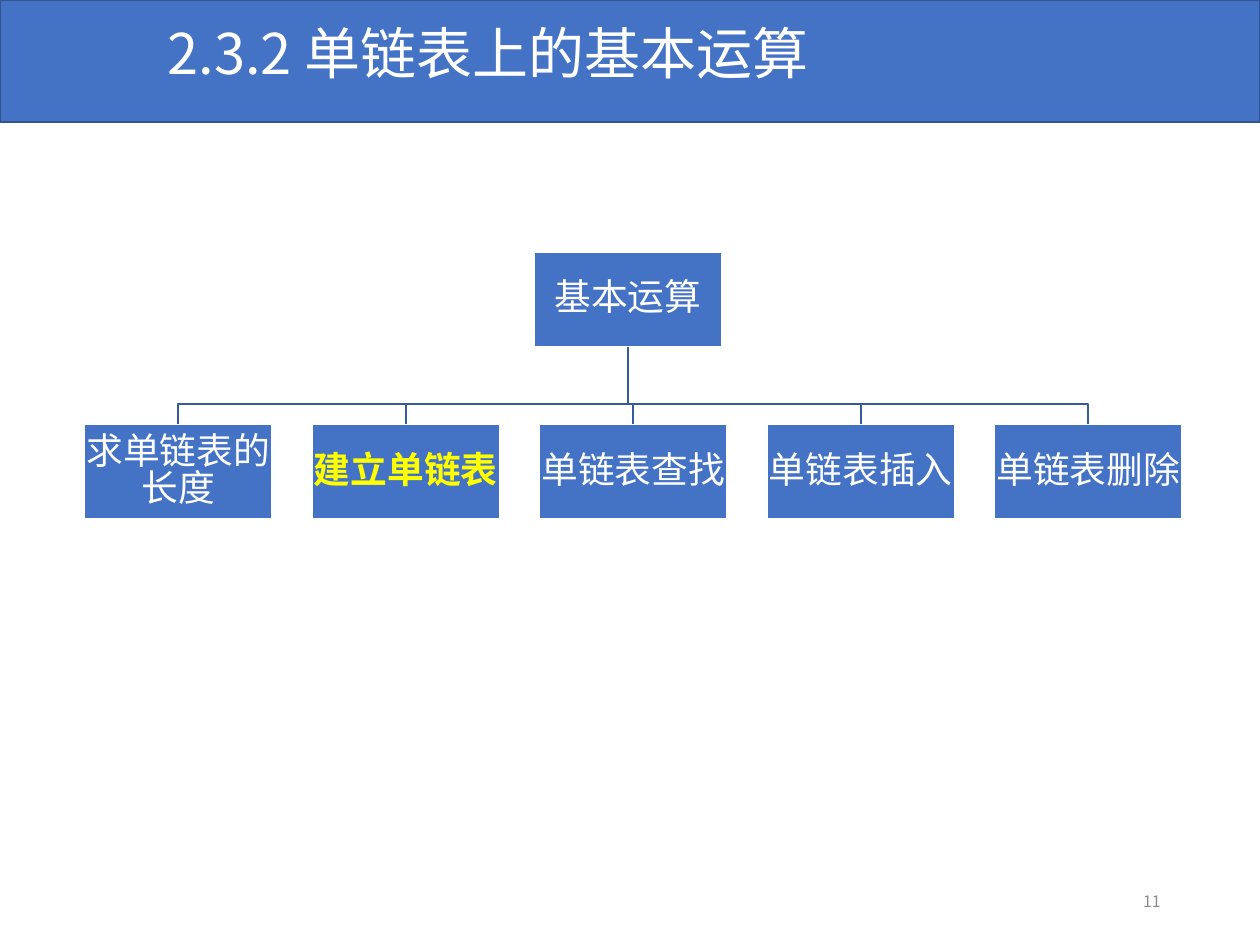
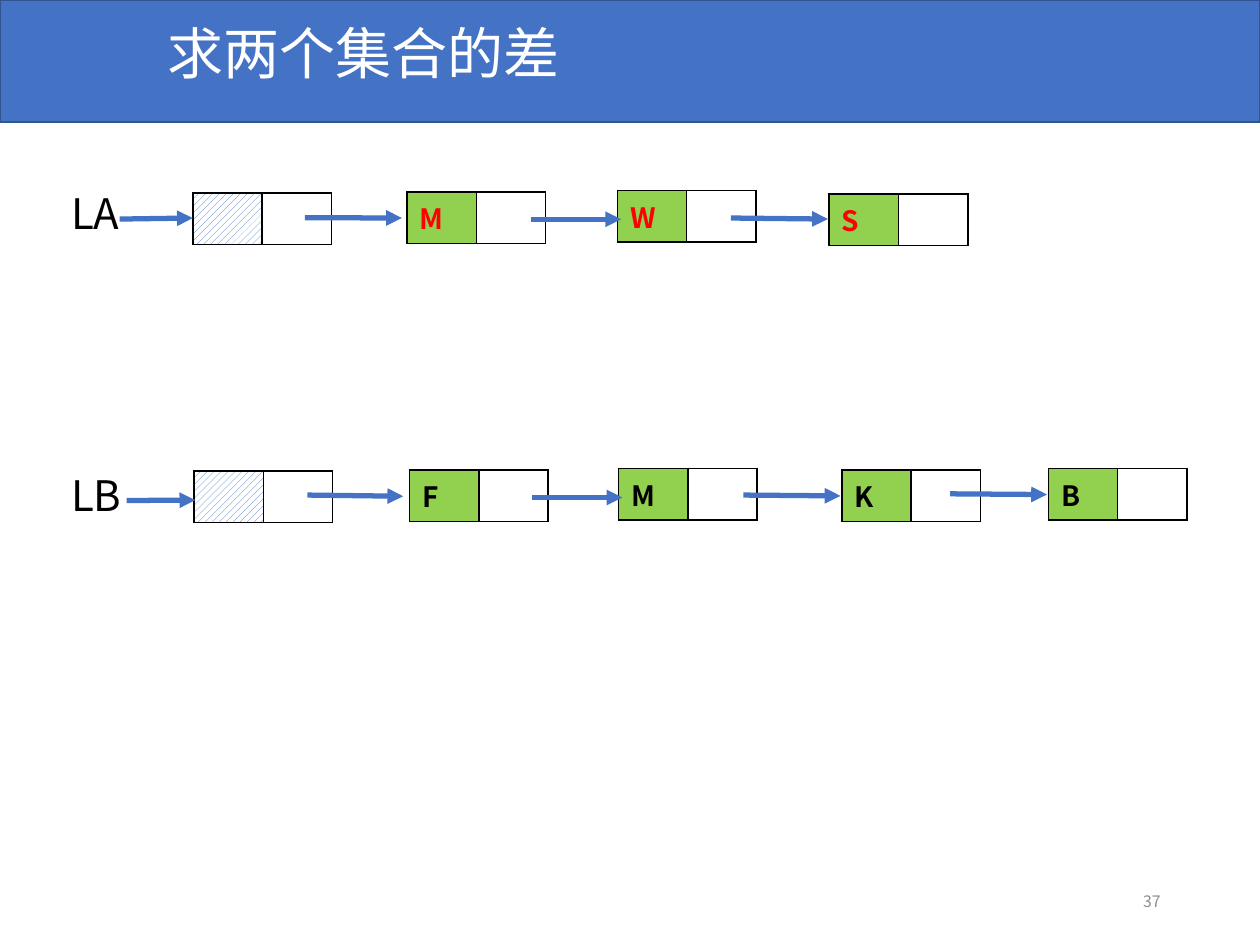
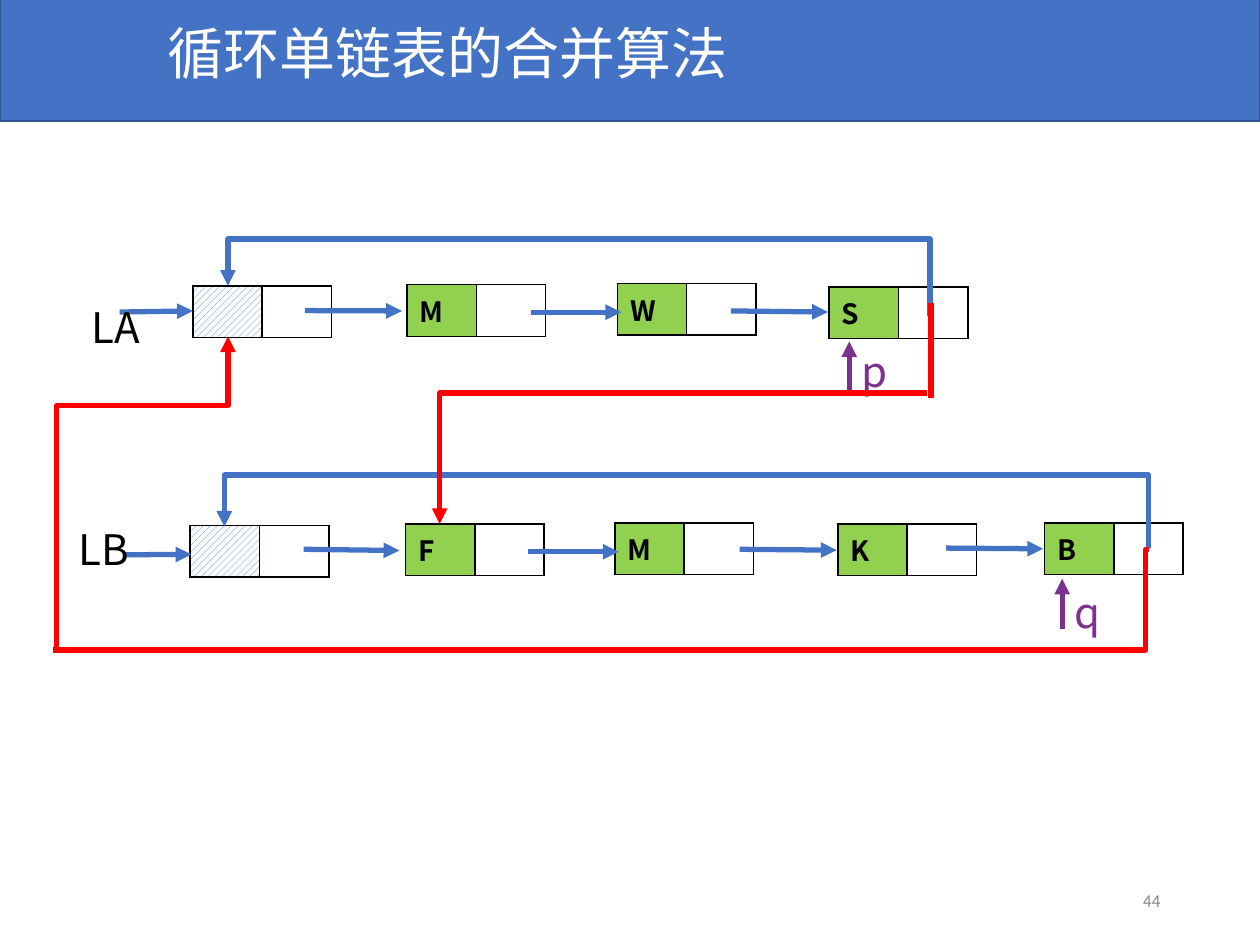
from dataclasses import dataclass

from lxml.etree import SubElement
from pptx import Presentation
from pptx.dml.color import RGBColor
from pptx.enum.dml import MSO_PATTERN
from pptx.enum.shapes import MSO_CONNECTOR, MSO_SHAPE
from pptx.enum.text import MSO_ANCHOR, MSO_AUTO_SIZE, PP_ALIGN
from pptx.oxml.ns import qn
from pptx.util import Pt

FONT = "Noto Sans CJK SC"
COLORS = {
    "blue": "4472C4", "band_edge": "325491", "tree_line": "365B9D",
    "white": "FFFFFF", "black": "000000", "yellow": "FFFF00",
    "red": "FF0000", "green": "92D050", "purple": "7B318F", "grey": "8C8C8C",
}
CELL_W, CELL_H = 39.6, 29.5


@dataclass
class Node:
    """A list node and the arrow leading to it, relative to the head node."""
    letter: str
    left: float
    top: float
    arrow_from: tuple
    arrow_to: tuple


LIST_A = [
    Node("M", 122.4, -0.6, (64, 14.2), (119.5, 14.4)),
    Node("W", 242.6, -1.3, (193, 15.1), (244.8, 15.1)),
    Node("S", 363.6, 0.6, (307.4, 14.4), (362.9, 15)),
]
LIST_B = [
    Node("F", 123.1, -0.7, (64.8, 13.7), (119.5, 14.4)),
    Node("M", 242.6, -1.4, (193, 15.1), (244.8, 15.1)),
    Node("K", 370.1, -0.7, (313.9, 13.7), (369.4, 14.2)),
    Node("B", 488.2, -1.4, (432, 13), (487.4, 13.4)),
]
ENTRY_A = ((-41.8, 15), (0, 14.4))
ENTRY_B = ((-38.5, 16.8), (0.7, 16.6))


def rgb(name):
    return RGBColor.from_string(COLORS[name])


def write(frame, text, size, color, bold=False, align=PP_ALIGN.LEFT, spacing=None):
    frame.text = text
    paragraph = frame.paragraphs[0]
    paragraph.alignment = align
    if spacing:
        paragraph.line_spacing = spacing
    for run in paragraph.runs:
        run.font.name = FONT
        run.font.size = Pt(size)
        run.font.bold = bold
        run.font.color.rgb = rgb(color)
        SubElement(run._r.get_or_add_rPr(), qn("a:ea"), typeface=FONT)


def add_block(slide, left, top, width, height, edge):
    block = slide.shapes.add_shape(
        MSO_SHAPE.RECTANGLE, Pt(left), Pt(top), Pt(width), Pt(height))
    block.shadow.inherit = False
    block.fill.solid()
    block.fill.fore_color.rgb = rgb("blue")
    block.line.color.rgb = rgb(edge)
    block.line.width = Pt(1)
    return block


def add_label(slide, text, left, top, width, color="black", inset=7.2):
    label = slide.shapes.add_textbox(Pt(left), Pt(top), Pt(width), Pt(36))
    frame = label.text_frame
    frame.word_wrap = True
    frame.auto_size = MSO_AUTO_SIZE.SHAPE_TO_FIT_TEXT
    frame.margin_left = Pt(inset)
    write(frame, text, 24, color, spacing=0.9)


# Frame shared by the slides: band, title, page number
def add_framed_slide(deck, title, page, band_top=0):
    slide = deck.slides.add_slide(deck.slide_layouts[5])
    band = add_block(slide, 0, band_top, 720, 69.8, "band_edge")
    slide.shapes._spTree.insert(2, band._element)

    heading = slide.shapes.title
    heading.left, heading.top = Pt(88.6), Pt(11.5)
    heading.width, heading.height = Pt(489.6), Pt(46)
    frame = heading.text_frame
    frame.word_wrap = True
    frame.vertical_anchor = MSO_ANCHOR.TOP
    frame.auto_size = MSO_AUTO_SIZE.SHAPE_TO_FIT_TEXT
    write(frame, title, 32, "white", spacing=0.9)

    number = slide.shapes.add_textbox(Pt(508.3), Pt(500.4), Pt(162), Pt(28.8))
    number.text_frame.word_wrap = True
    number.text_frame.vertical_anchor = MSO_ANCHOR.MIDDLE
    write(number.text_frame, str(page), 9, "grey", align=PP_ALIGN.RIGHT)
    return slide


# Lines and arrows
def style_connector(connector, color, arrow):
    connector.line.color.rgb = rgb(color)
    connector.line.width = Pt(3)
    properties = connector._element.spPr
    if arrow:
        SubElement(properties.find(qn("a:ln")), qn("a:tailEnd"), type="triangle")
    SubElement(properties, qn("a:effectLst"))


def add_line(slide, start, end, color="blue", arrow=True):
    line = slide.shapes.add_connector(
        MSO_CONNECTOR.STRAIGHT, *map(Pt, (*start, *end)))
    style_connector(line, color, arrow)


def add_elbow(slide, start, end, color, preset, adjustments=(), arrow=True):
    elbow = slide.shapes.add_connector(
        MSO_CONNECTOR.ELBOW, *map(Pt, (*start, *end)))
    style_connector(elbow, color, arrow)
    geometry = elbow._element.spPr.find(qn("a:prstGeom"))
    geometry.set("prst", preset)
    guides = geometry.find(qn("a:avLst"))
    for index, share in enumerate(adjustments, 1):
        SubElement(guides, qn("a:gd"), name=f"adj{index}",
                   fmla=f"val {round(share * 100000)}")
    return elbow


def add_rising_elbow(slide, start, end, color, turn):
    """Leave start upwards, cross to the right at the turn, then rise to end."""
    center_x, center_y = (start[0] + end[0]) / 2, (start[1] + end[1]) / 2
    half_rise, half_run = (start[1] - end[1]) / 2, (end[0] - start[0]) / 2
    elbow = add_elbow(slide, (center_x - half_rise, center_y - half_run),
                      (center_x + half_rise, center_y + half_run),
                      color, "bentConnector3", [turn])
    elbow._element.spPr.find(qn("a:xfrm")).set("rot", str(270 * 60000))


# Tree of operations
def draw_operation_tree(slide, left, top):
    box_w, box_h, step, level = 107.3, 54, 130, 98.6
    root_left = left + 257
    root_x, root_bottom = root_left + box_w / 2, top + box_h
    child_top = top + level
    operations = ["求单链表的长度", "建立单链表", "单链表查找", "单链表插入", "单链表删除"]
    child_lefts = [left + index * step for index in range(len(operations))]

    for child_left in child_lefts:
        child_x, bus_y = child_left + box_w / 2, child_top - 11.7
        branch = slide.shapes.build_freeform(Pt(root_x), Pt(root_bottom))
        branch.add_line_segments(
            [(Pt(x), Pt(y)) for x, y in
             ((root_x, bus_y), (child_x, bus_y), (child_x, child_top))],
            close=False)
        outline = branch.convert_to_shape()
        outline.shadow.inherit = False
        outline.fill.background()
        outline.line.color.rgb = rgb("tree_line")
        outline.line.width = Pt(1)

    boxes = [("基本运算", root_left, top)]
    boxes += [(name, x, child_top) for name, x in zip(operations, child_lefts)]
    for name, box_left, box_top in boxes:
        box = add_block(slide, box_left, box_top, box_w, box_h, "white")
        frame = box.text_frame
        frame.word_wrap = True
        frame.vertical_anchor = MSO_ANCHOR.MIDDLE
        frame.margin_left = frame.margin_right = Pt(0.7)
        frame.margin_top = frame.margin_bottom = Pt(0.7)
        current = name == "建立单链表"
        write(frame, name, 21, "yellow" if current else "white", current,
              PP_ALIGN.CENTER, 0.85)


# Linked lists
def add_cell(slide, left, top, letter="", color="black", head=False):
    table = slide.shapes.add_table(
        1, 1, Pt(left), Pt(top), Pt(CELL_W), Pt(CELL_H)).table
    table.first_row = table.horz_banding = False
    cell = table.cell(0, 0)
    cell.margin_top, cell.margin_bottom = Pt(3), Pt(0)
    properties = cell._tc.get_or_add_tcPr()
    for side in ("lnL", "lnR", "lnT", "lnB"):
        border = SubElement(properties, qn(f"a:{side}"), w=str(Pt(1)))
        SubElement(SubElement(border, qn("a:solidFill")), qn("a:srgbClr"),
                   val=COLORS["black"])
    if head:
        cell.fill.patterned()
        cell.fill.pattern = MSO_PATTERN.WIDE_UPWARD_DIAGONAL
        cell.fill.fore_color.rgb = rgb("blue")
        cell.fill.back_color.rgb = rgb("white")
    else:
        cell.fill.solid()
        cell.fill.fore_color.rgb = rgb("green" if letter else "white")
    if letter:
        write(cell.text_frame, letter, 16, color, bold=True)


def draw_list(slide, left, top, name, name_at, nodes, entry, color="black"):
    def place(point):
        return left + point[0], top + point[1]

    add_cell(slide, left, top, head=True)
    add_cell(slide, left + CELL_W, top)
    for node in nodes:
        x, y = place((node.left, node.top))
        add_cell(slide, x, y, node.letter, color)
        add_cell(slide, x + CELL_W, y)
    arrows = [entry] + [(node.arrow_from, node.arrow_to) for node in nodes]
    for start, end in arrows:
        add_line(slide, place(start), place(end))
    add_label(slide, name, *name_at, 53.3, inset=12.6)


def draw_pointer(slide, name, x, tip, label_top):
    add_label(slide, name, x, label_top, 28, "purple")
    add_line(slide, (x, tip + 29), (x, tip), "purple")


def draw_merge_links(slide):
    # Links that close each list
    add_elbow(slide, (656.6, 313.6), (128.2, 301), "blue",
              "bentConnector4", [0.001, 3.34])
    add_elbow(slide, (533.5, 180), (130.3, 163.4), "blue",
              "bentConnector4", [0.005, 2.61])
    draw_pointer(slide, "p", 485.3, 195.1, 197.3)
    draw_pointer(slide, "q", 607, 330.7, 334.8)
    # Links that join the two lists
    add_elbow(slide, (656.6, 313.9), (30.2, 371.5), "red",
              "bentConnector3", [0.003], arrow=False)
    add_rising_elbow(slide, (32.4, 371.5), (130.3, 192.2), "red", 0.78)
    add_elbow(slide, (529.9, 224.6), (251.3, 299.5), "red", "bentConnector2")
    add_line(slide, (532, 227.5), (532, 173), "red", arrow=False)


def main():
    deck = Presentation()
    deck.slide_width, deck.slide_height = Pt(720), Pt(540)

    operations = add_framed_slide(deck, "2.3.2 单链表上的基本运算", 11)
    draw_operation_tree(operations, 48.2, 144)

    difference = add_framed_slide(deck, "求两个集合的差", 37)
    draw_list(difference, 110.2, 110.2, "LA", (28, 106.6), LIST_A, ENTRY_A, "red")
    draw_list(difference, 110.9, 269.2, "LB", (28, 267.8), LIST_B, ENTRY_B)

    merge = add_framed_slide(deck, "循环单链表的合并算法", 44, band_top=-0.7)
    draw_list(merge, 110.2, 163.3, "LA", (39.6, 172), LIST_A, ENTRY_A)
    draw_list(merge, 108.7, 300.2, "LB", (32.4, 298.8), LIST_B, ENTRY_B)
    draw_merge_links(merge)

    deck.save("out.pptx")


if __name__ == "__main__":
    main()
